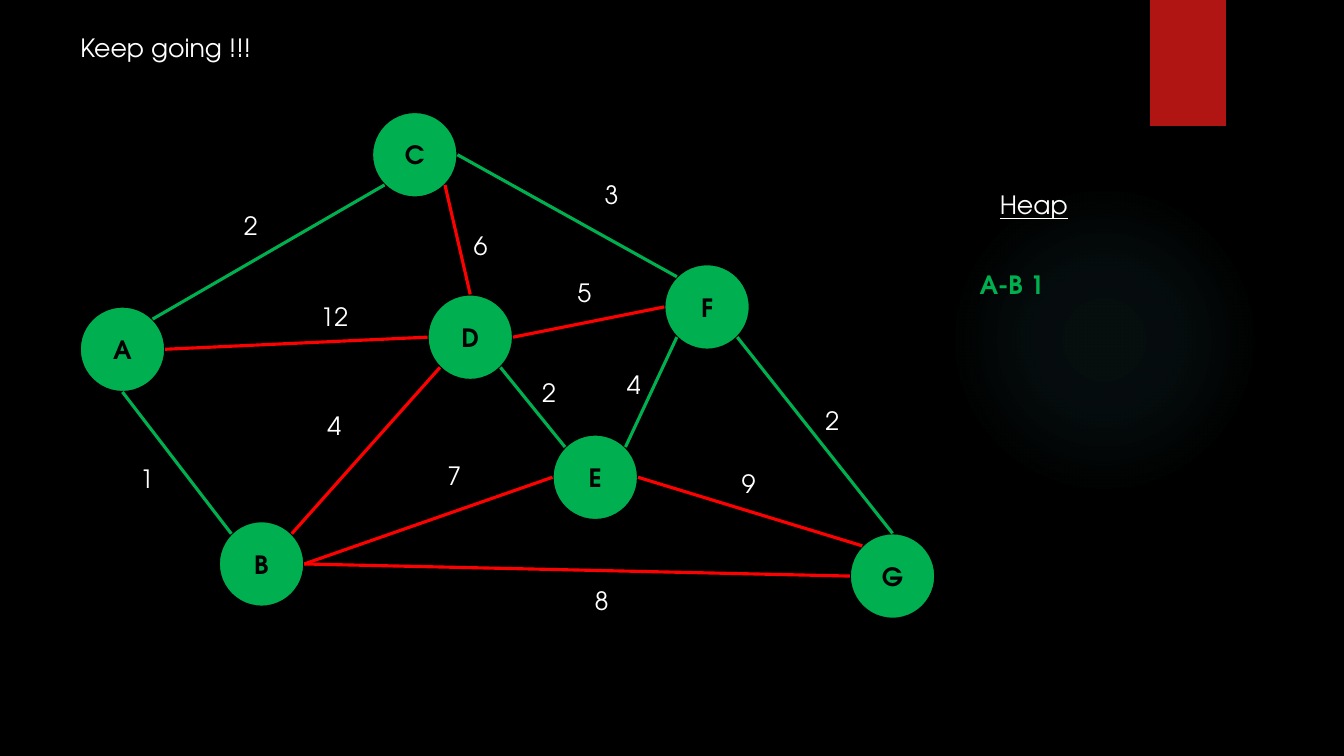
"""Build a slide of a weighted graph, its spanning tree edges and the heap."""
from math import cos, radians, sin

from lxml import etree
from pptx import Presentation
from pptx.dml.color import RGBColor
from pptx.enum.shapes import MSO_CONNECTOR, MSO_SHAPE
from pptx.enum.text import MSO_ANCHOR, MSO_AUTO_SIZE, PP_ALIGN
from pptx.oxml import parse_xml
from pptx.oxml.ns import qn
from pptx.util import Inches, Pt

OVAL, RECTANGLE = MSO_SHAPE.OVAL, MSO_SHAPE.RECTANGLE
STRAIGHT = MSO_CONNECTOR.STRAIGHT
MIDDLE, CENTER = MSO_ANCHOR.MIDDLE, PP_ALIGN.CENTER
FIT_SHAPE = MSO_AUTO_SIZE.SHAPE_TO_FIT_TEXT
DRAWING = 'xmlns:a="http://schemas.openxmlformats.org/drawingml/2006/main"'

THEME = {
    "font": "TeX Gyre Adventor",
    "size": Pt(18),
    "edge": Pt(2.25),
    "outline": Pt(1.5),
    "black": RGBColor.from_string("000000"),
    "white": RGBColor.from_string("FFFFFF"),
    "green": RGBColor.from_string("00B050"),
    "red": RGBColor.from_string("FF0000"),
    "ribbon": RGBColor.from_string("B01513"),
    "glow": "50B9C1",
}

presentation = Presentation()
presentation.slide_width, presentation.slide_height = Inches(13.333), Inches(7.5)
COLUMN = presentation.slide_width / 100
ROW = presentation.slide_height / 100
slide = presentation.slides.add_slide(presentation.slide_layouts[6])
slide.background.fill.solid()
slide.background.fill.fore_color.rgb = THEME["black"]


def add_block(kind, left, top, width, height, color):
    """Add a filled shape without line or shadow."""
    shape = slide.shapes.add_shape(kind, int(left), int(top), int(width), int(height))
    shape.shadow.inherit = False
    shape.fill.solid()
    shape.fill.fore_color.rgb = color
    shape.line.fill.background()
    return shape


def style_text(shape, text, color, bold=False, underline=False):
    """Write one line of text and return its paragraph."""
    paragraph = shape.text_frame.paragraphs[0]
    paragraph.text = text
    font = paragraph.font
    font.name, font.size = THEME["font"], THEME["size"]
    font.bold, font.underline = bold, underline
    font.color.rgb = color
    return paragraph


glow_size = 41.07 * ROW
glow = add_block(OVAL, 70.58 * COLUMN, 24.4 * ROW, glow_size, glow_size, THEME["black"])
stops = "".join(
    f'<a:gs pos="{position}000"><a:srgbClr val="{THEME["glow"]}">'
    f'<a:alpha val="{alpha}000"/></a:srgbClr></a:gs>'
    for position, alpha in ((0, 7), (36, 6), (69, 0))
)
solid_fill = glow._element.spPr.find(qn("a:solidFill"))
solid_fill.getparent().replace(solid_fill, parse_xml(
    f'<a:gradFill {DRAWING}><a:gsLst>{stops}</a:gsLst><a:path path="circle">'
    '<a:fillToRect l="50000" t="50000" r="50000" b="50000"/></a:path></a:gradFill>'
))

ribbon = add_block(RECTANGLE, 85.58 * COLUMN, 0, 5.63 * COLUMN, 16.67 * ROW, THEME["ribbon"])
ribbon._element.spPr.find(qn("a:effectLst")).append(parse_xml(
    f'<a:outerShdw {DRAWING} blurRad="{Pt(3)}" dist="{Pt(2)}" dir="5400000" rotWithShape="0">'
    '<a:srgbClr val="000000"><a:alpha val="45000"/></a:srgbClr></a:outerShdw>'
))

NODE_CENTERS = {
    "A": (9.11, 46.2), "C": (30.86, 20.47), "B": (19.46, 74.6), "D": (34.99, 44.6),
    "E": (44.29, 63.13), "F": (52.61, 40.6), "G": (66.41, 76.2),
}
radius = 5.65 * ROW
nodes = {}
for name, (column, row) in NODE_CENTERS.items():
    node = add_block(OVAL, column * COLUMN - radius, row * ROW - radius,
                     2 * radius, 2 * radius, THEME["green"])
    node.line.color.rgb = THEME["black"]
    node.line.width = THEME["outline"]
    node.text_frame.vertical_anchor = MIDDLE
    style_text(node, name, THEME["black"], bold=True).alignment = CENTER
    nodes[name] = node

TOP, TOP_LEFT, LEFT, BOTTOM_LEFT, BOTTOM, BOTTOM_RIGHT, RIGHT, TOP_RIGHT = range(8)
EDGES = [
    ("A", TOP_RIGHT, "C", BOTTOM_LEFT, "green", "2", 17.4, 27.2),
    ("A", RIGHT, "D", LEFT, "red", "12", 23.1, 39.2),
    ("A", BOTTOM, "B", TOP_LEFT, "green", "1", 9.68, 60.67),
    ("B", RIGHT, "E", LEFT, "red", "7", 32.55, 60.27),
    ("G", TOP_LEFT, "E", RIGHT, "red", "9", 54.45, 61.33),
    ("B", RIGHT, "G", LEFT, "red", "8", 43.5, 76.8),
    ("E", TOP_LEFT, "D", BOTTOM_RIGHT, "green", "2", 39.6, 49.2),
    ("D", TOP, "C", BOTTOM_RIGHT, "red", "6", 34.5, 29.87),
    ("B", TOP_RIGHT, "D", BOTTOM_LEFT, "red", "4", 23.63, 53.6),
    ("F", LEFT, "D", RIGHT, "red", "5", 42.23, 36),
    ("F", TOP_LEFT, "C", RIGHT, "green", "3", 44.25, 23.07),
    ("G", TOP, "F", BOTTOM_RIGHT, "green", "2", 60.68, 52.93),
    ("E", TOP_RIGHT, "F", BOTTOM_LEFT, "green", "4", 45.9, 48.13),
]
for start, start_site, end, end_site, color, *_ in EDGES:
    points = []
    for name, site in ((start, start_site), (end, end_site)):
        column, row = NODE_CENTERS[name]
        angle = radians(90 + 45 * site)
        points += [int(column * COLUMN + radius * cos(angle)),
                   int(row * ROW - radius * sin(angle))]
    edge = slide.shapes.add_connector(STRAIGHT, *points)
    edge.line.color.rgb = THEME[color]
    edge.line.width = THEME["edge"]
    etree.SubElement(edge._element.spPr, qn("a:effectLst"))
    links = edge._element.nvCxnSpPr.cNvCxnSpPr
    for tag, name, site in (("a:stCxn", start, start_site), ("a:endCxn", end, end_site)):
        etree.SubElement(links, qn(tag), id=str(nodes[name].shape_id), idx=str(site))

LABELS = [
    (weight, left, top, 3.6 if len(weight) > 1 else 2.55, "white", False, False)
    for *_, weight, left, top in EDGES
] + [
    ("Heap", 73.65, 24.4, 6.6, "white", False, True),
    ("A-B\t1", 72.15, 34.93, 10.13, "green", True, False),
    ("Keep going !!!", 5.25, 3.6, 14.4, "white", False, False),
]
for text, left, top, width, color, bold, underline in LABELS:
    label = slide.shapes.add_textbox(int(left * COLUMN), int(top * ROW),
                                     int(width * COLUMN), int(5.33 * ROW))
    label.text_frame.word_wrap = False
    label.text_frame.auto_size = FIT_SHAPE
    style_text(label, text, THEME[color], bold, underline)

presentation.save("out.pptx")
